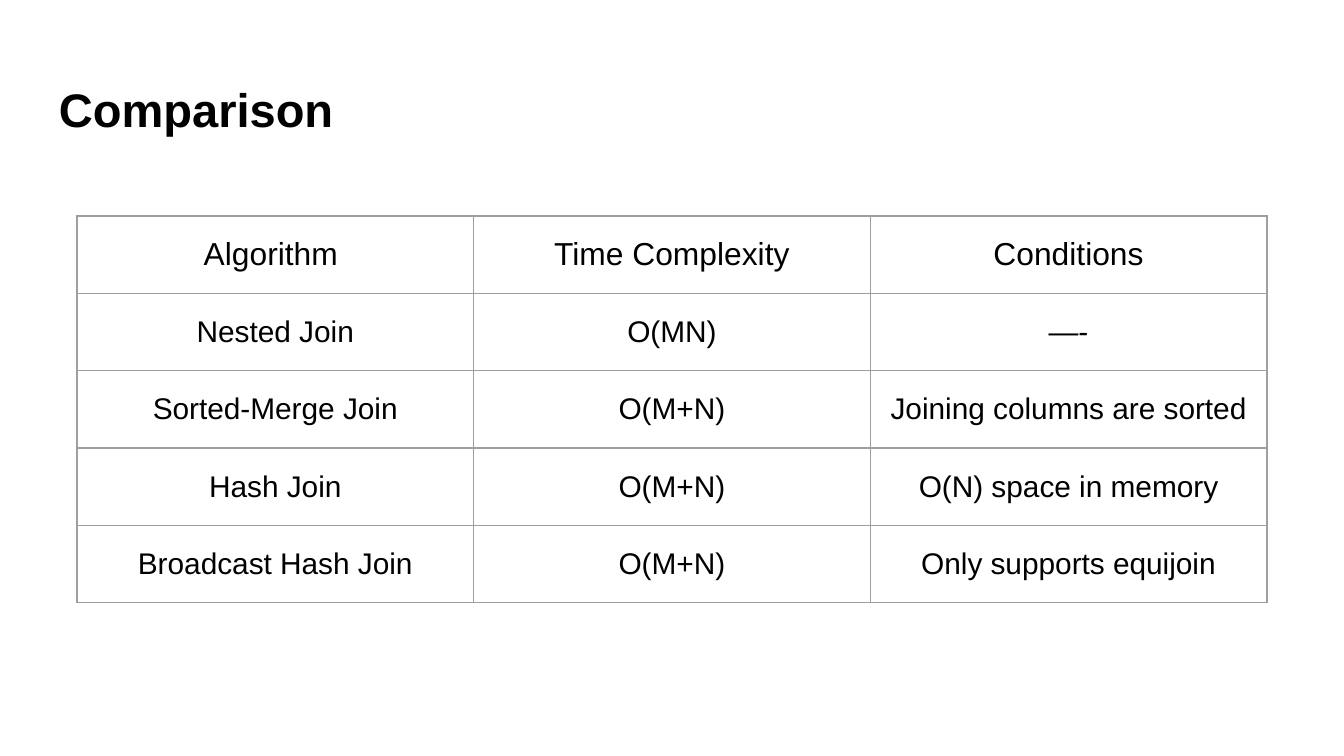
from dataclasses import dataclass

from lxml.etree import SubElement
from pptx import Presentation
from pptx.dml.color import RGBColor
from pptx.enum.text import MSO_ANCHOR, PP_ALIGN
from pptx.oxml.ns import qn
from pptx.util import Emu, Pt

EMU_PER_PX = 914400 / 134.4
FONT = "Arial"
COLORS = {"text": "000000", "background": "FFFFFF", "border": "9E9E9E"}
INSET = 13
BORDER_PT = 0.75


@dataclass
class Box:
    left: int
    top: int
    width: int
    height: int


@dataclass
class Join:
    algorithm: str
    complexity: str
    conditions: str

    def texts(self) -> list[str]:
        return [self.algorithm, self.complexity, self.conditions]


TITLE_BOX = Box(46, 66, 1252, 85)
TABLE_BOX = Box(77, 216, 1190, 387)
HEADER = Join("Algorithm ", "Time Complexity", "Conditions")
JOINS = [
    Join("Nested Join", "O(MN)", "—-"),
    Join("Sorted-Merge Join", "O(M+N)", "Joining columns are sorted"),
    Join("Hash Join", "O(M+N)", "O(N) space in memory"),
    Join("Broadcast Hash Join", "O(M+N)", "Only supports equijoin"),
]


def px(value: float) -> Emu:
    return Emu(round(value * EMU_PER_PX))


def rgb(name: str) -> RGBColor:
    return RGBColor.from_string(COLORS[name])


def write(tf, text: str, *, size: float, bold: bool = False,
          align=PP_ALIGN.LEFT) -> None:
    p = tf.paragraphs[0]
    p.alignment = align
    r = p.add_run()
    r.text = text
    r.font.name = FONT
    r.font.size = Pt(size)
    r.font.bold = bold
    r.font.color.rgb = rgb("text")


def set_margins(target) -> None:
    for side in ("left", "top", "right", "bottom"):
        setattr(target, f"margin_{side}", px(INSET))


def add_borders(cell) -> None:
    tc_pr = cell._tc.get_or_add_tcPr()
    for i, side in enumerate(("lnL", "lnR", "lnT", "lnB")):
        ln = tc_pr.makeelement(qn(f"a:{side}"), {"w": str(Pt(BORDER_PT))})
        fill = SubElement(ln, qn("a:solidFill"))
        SubElement(fill, qn("a:srgbClr"), val=COLORS["border"])
        tc_pr.insert(i, ln)  # borders come before the fill


def add_title(s, box: Box, text: str) -> None:
    sp = s.shapes.title
    sp.left, sp.top = px(box.left), px(box.top)
    sp.width, sp.height = px(box.width), px(box.height)
    tf = sp.text_frame
    tf.word_wrap = True
    tf.vertical_anchor = MSO_ANCHOR.MIDDLE
    set_margins(tf)
    write(tf, text, size=25.2, bold=True)


def add_comparison(s, box: Box, rows: list[Join]) -> None:
    n_cols = len(rows[0].texts())
    table = s.shapes.add_table(len(rows), n_cols, px(box.left), px(box.top),
                               px(box.width), px(box.height)).table
    table.first_row = False
    table.horz_banding = False
    for column in table.columns:
        column.width = px(box.width / n_cols)
    for i, join in enumerate(rows):
        table.rows[i].height = px(box.height / len(rows))
        for cell, text in zip(table.rows[i].cells, join.texts()):
            cell.fill.solid()
            cell.fill.fore_color.rgb = rgb("background")
            cell.vertical_anchor = MSO_ANCHOR.MIDDLE
            set_margins(cell)
            add_borders(cell)
            write(cell.text_frame, text, size=17 if i == 0 else 16,
                  align=PP_ALIGN.CENTER)


def main() -> None:
    prs = Presentation()
    prs.slide_width, prs.slide_height = px(1344), px(756)
    s = prs.slides.add_slide(prs.slide_layouts[5])
    s.background.fill.solid()
    s.background.fill.fore_color.rgb = rgb("background")

    # Title
    add_title(s, TITLE_BOX, "Comparison")

    # Table of join algorithms
    add_comparison(s, TABLE_BOX, [HEADER, *JOINS])

    prs.save("out.pptx")


if __name__ == "__main__":
    main()
